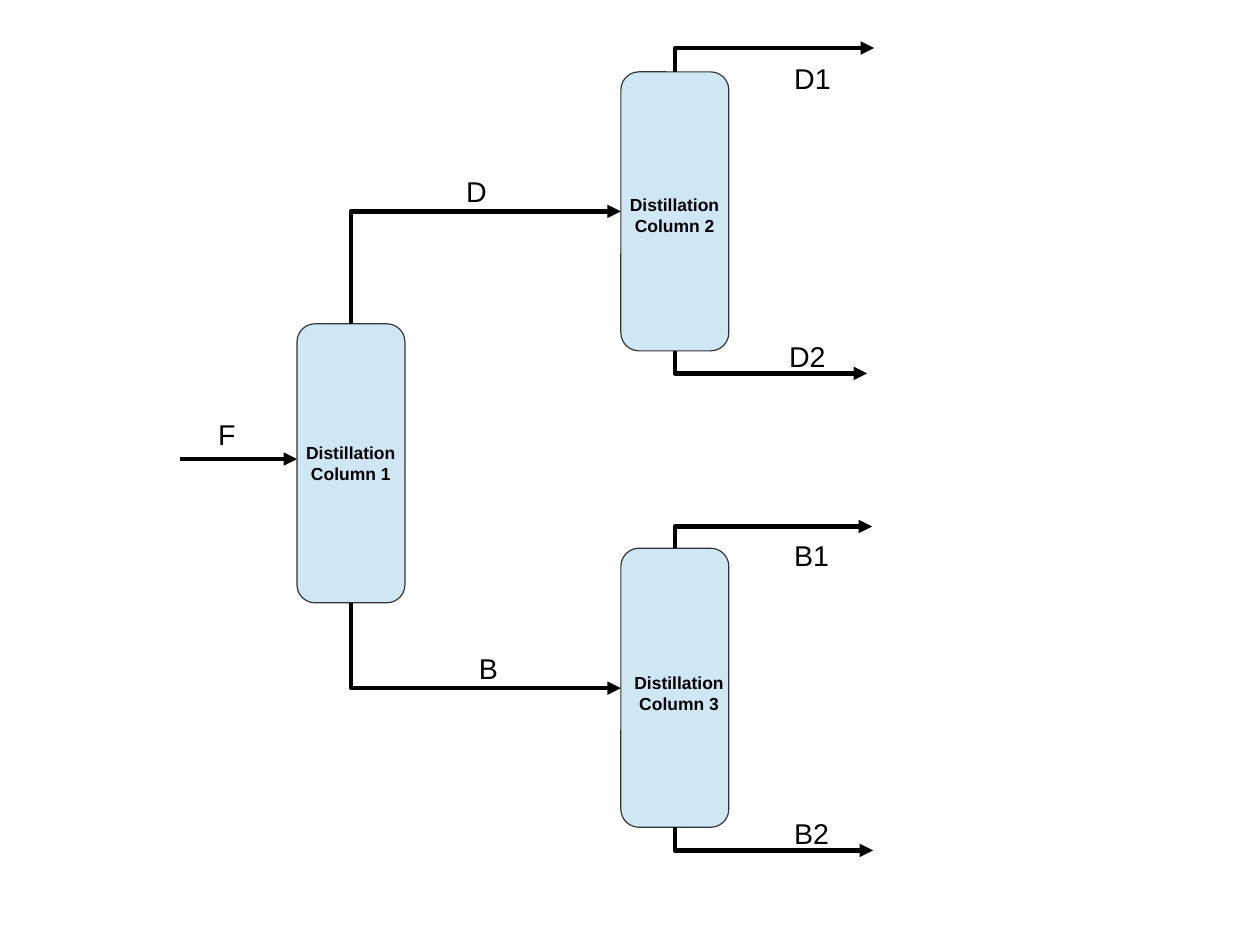
from lxml import etree
from pptx import Presentation
from pptx.dml.color import RGBColor
from pptx.enum.shapes import MSO_CONNECTOR, MSO_SHAPE
from pptx.enum.text import MSO_AUTO_SIZE, PP_ALIGN
from pptx.oxml.ns import qn
from pptx.util import Pt

ELBOW, STRAIGHT = MSO_CONNECTOR.ELBOW, MSO_CONNECTOR.STRAIGHT
ROUND = MSO_SHAPE.ROUNDED_RECTANGLE
GROW = MSO_AUTO_SIZE.SHAPE_TO_FIT_TEXT
CENTER, LEFT = PP_ALIGN.CENTER, PP_ALIGN.LEFT

# Content, lengths in points
FONT, BLACK, BLUE, EDGE = "Arial", "000000", "CFE7F5", "333333"
WIDE, TALL = 68, 175.75
# left, top
COLUMNS = [(187.1, 204), (391.1, 45.3), (391.1, 345.4)]
# text lines, left, top
NAMES = [
    (["Distillation", "Column 1"], 184.3, 275),
    (["Distillation", "Column 2"], 388.3, 119),
    (["Distillation", "Column 3"], 391.1, 419.7),
]
# column index, leaves from the top, end x, end y
PIPES = [
    (0, True, 391.1, 133.2),
    (0, False, 391.1, 433.5),
    (1, True, 550.6, 30.3),
    (1, False, 546.2, 235.2),
    (2, True, 549.3, 331.7),
    (2, False, 550, 535.7),
]
FEED = (113.4, 289.2, 187.1, 289.2)
# text, left, top
LABELS = [
    ("D", 286.5, 106.1),
    ("B", 294.6, 406.4),
    ("D1", 493.2, 34.9),
    ("D2", 490, 209.8),
    ("F", 130.3, 259.3),
    ("B1", 493.2, 335.4),
    ("B2", 493.2, 510.5),
]

deck = Presentation()
deck.slide_width, deck.slide_height = Pt(793.7), Pt(595.3)
slide = deck.slides.add_slide(deck.slide_layouts[6])
shapes = slide.shapes


def color(hexa):
    return RGBColor.from_string(hexa)


def write(lines, left, top, width, height, size, bold, align):
    box = shapes.add_textbox(Pt(left), Pt(top), Pt(width), Pt(height))
    frame = box.text_frame
    frame.word_wrap = bold
    frame.auto_size = GROW
    for i, line in enumerate(lines):
        para = frame.paragraphs[0] if i == 0 else frame.add_paragraph()
        para.alignment = align
        run = para.add_run()
        run.text = line
        font = run.font
        font.name, font.size, font.bold = FONT, Pt(size), bold
        font.color.rgb = color(BLACK)


def arrow(kind, *ends):
    line = shapes.add_connector(kind, *(Pt(v) for v in ends))
    line.line.color.rgb = color(BLACK)
    line.line.width = Pt(2.83)
    props = line._element.spPr
    tail = etree.SubElement(props.find(qn("a:ln")), qn("a:tailEnd"))
    tail.set("type", "triangle")
    etree.SubElement(props, qn("a:effectLst"))
    return props


def pipe(x1, y1, x2, y2):
    """Rise or drop from the first point, then run right to the second."""
    up = y2 < y1
    mid_x, mid_y = (x1 + x2) / 2, (y1 + y2) / 2
    # The elbow is laid on its side, then turned by a quarter
    half_w, half_h = abs(y2 - y1) / 2, (x2 - x1) / 2
    side = half_h if up else -half_h
    props = arrow(ELBOW, mid_x + half_w, mid_y + side,
                  mid_x - half_w, mid_y - side)
    turn = 90 if up else 270
    props.find(qn("a:xfrm")).set("rot", str(turn * 60000))
    props.find(qn("a:prstGeom")).set("prst", "bentConnector2")


# Columns
for left, top in COLUMNS:
    box = shapes.add_shape(ROUND, Pt(left), Pt(top), Pt(WIDE), Pt(TALL))
    box.shadow.inherit = False
    box.fill.solid()
    box.fill.fore_color.rgb = color(BLUE)
    box.line.color.rgb = color(EDGE)
    box.line.width = Pt(0)

# Feed and pipes
arrow(STRAIGHT, *FEED)
for index, from_top, end_x, end_y in PIPES:
    left, top = COLUMNS[index]
    pipe(left + WIDE / 2, top if from_top else top + TALL, end_x, end_y)

# Stream labels
for text, left, top in LABELS:
    width = 28 if len(text) == 1 else 39
    write([text], left, top, width, 27.4, 18, False, LEFT)

# Column names
for lines, left, top in NAMES:
    write(lines, left, top, 73.4, 31.7, 11, True, CENTER)

deck.save("out.pptx")
